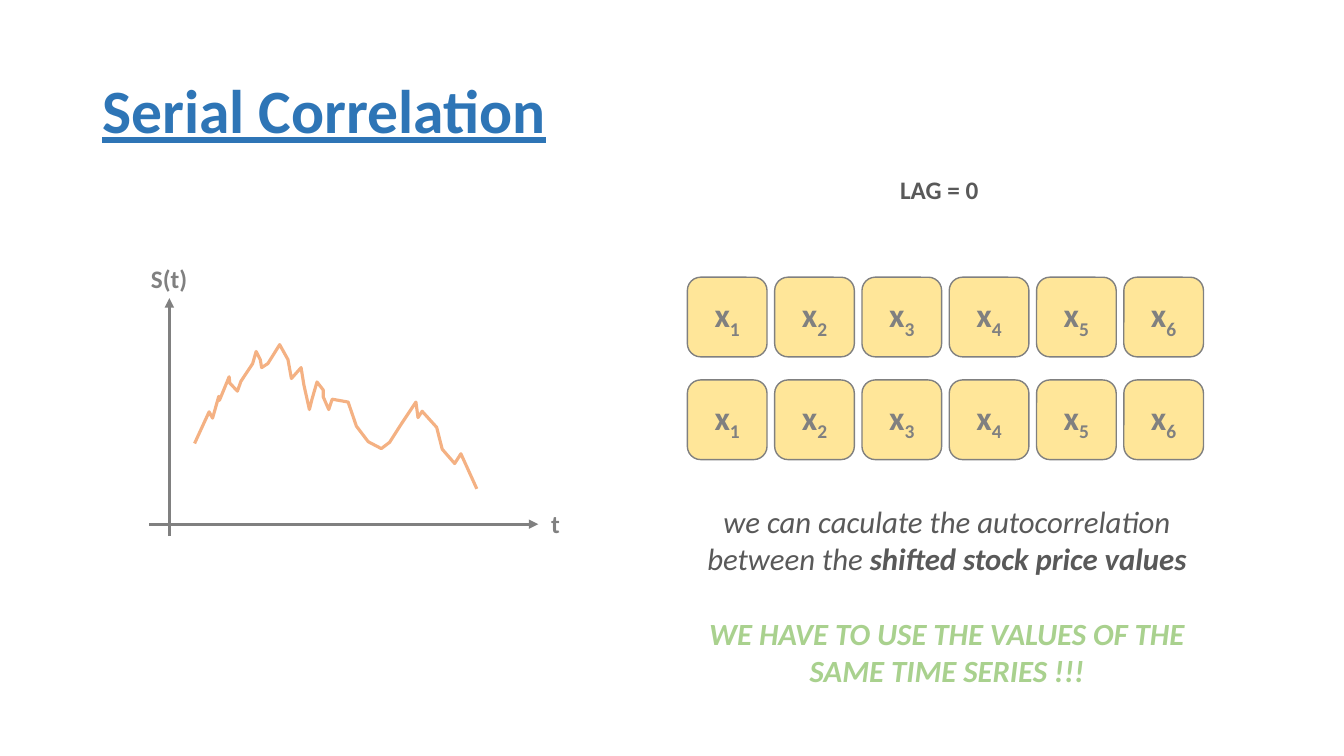
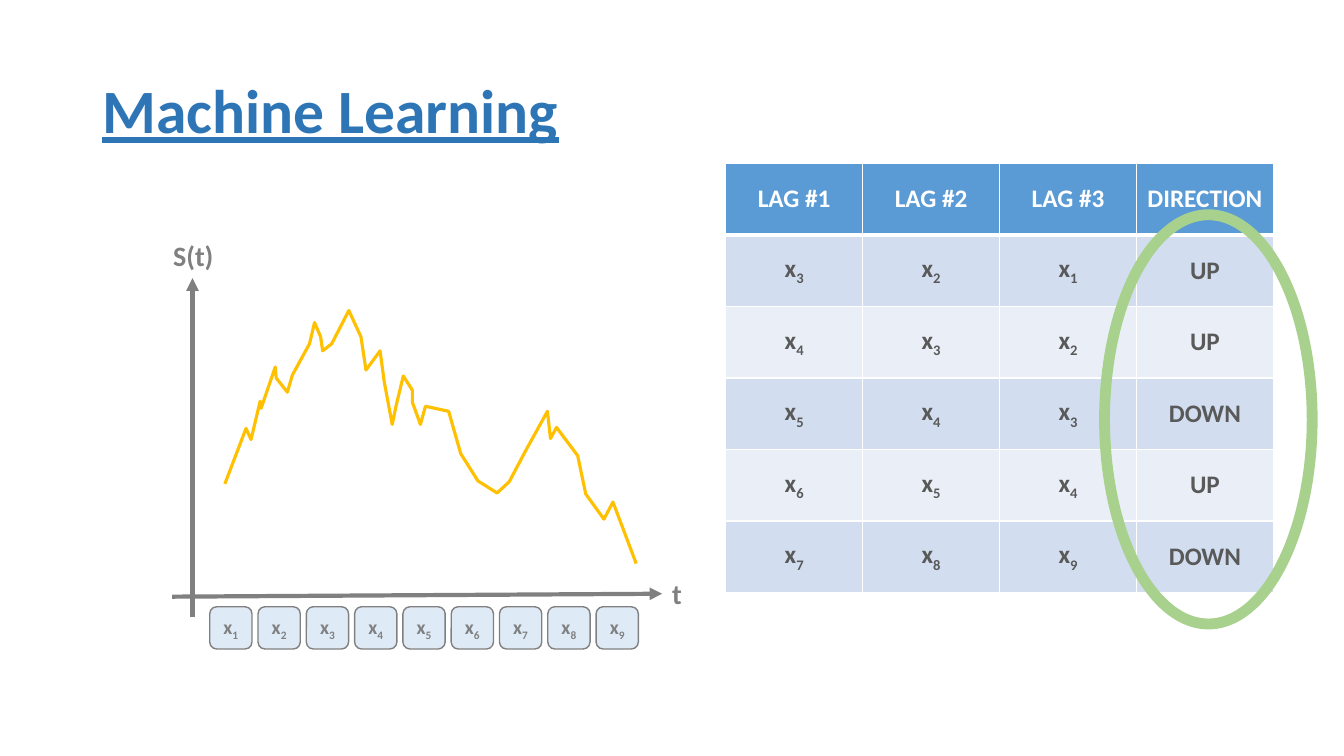
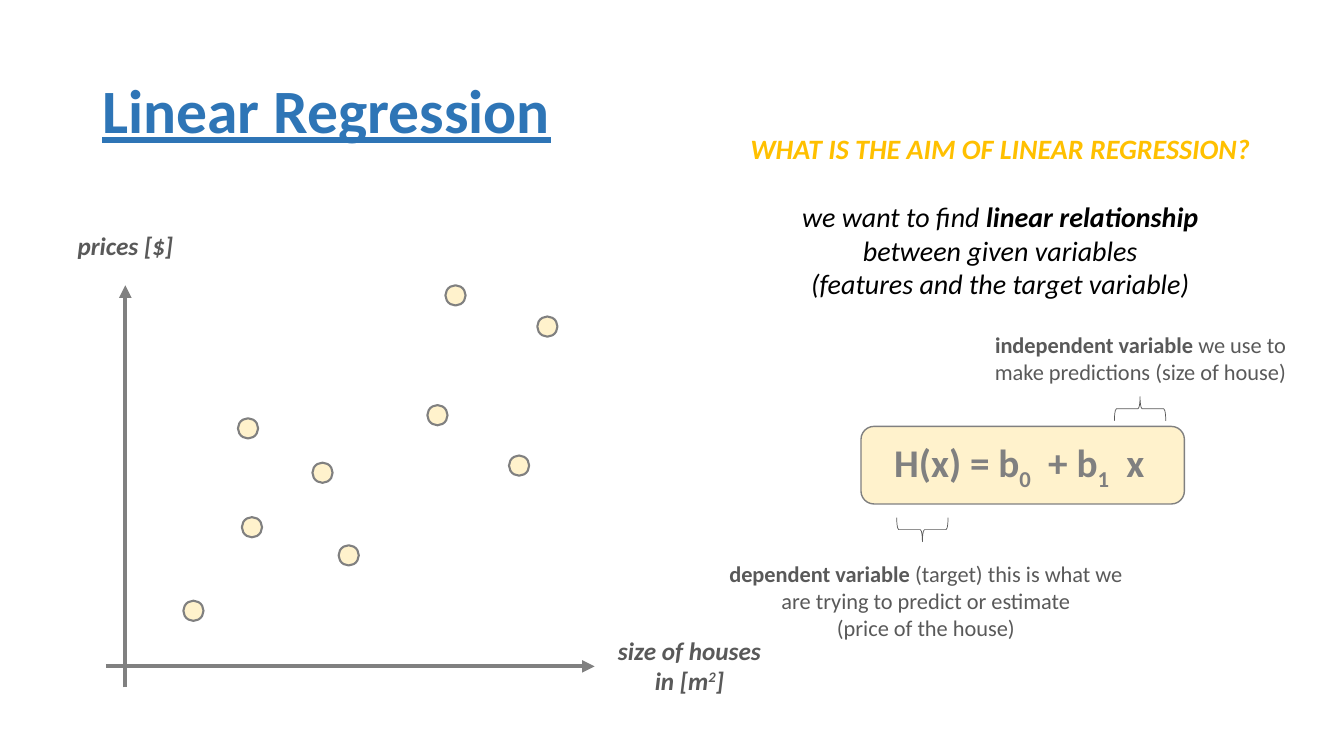
from lxml.etree import SubElement
from pptx import Presentation
from pptx.dml.color import RGBColor
from pptx.enum.shapes import MSO_CONNECTOR, MSO_SHAPE
from pptx.enum.text import MSO_ANCHOR, PP_ALIGN
from pptx.oxml.ns import qn
from pptx.util import Pt

# ---- Shared style ----
FONT = "Calibri"
BLUE, GREY, DARK, BLACK, WHITE = "2E75B6", "808080", "595959", "000000", "FFFFFF"
GREEN, GOLD, CREAM = "A9D18E", "FFC000", "FFF2CC"
TITLE_BOX = (66, 29, 828, 104.4)

# ---- Content: a run is (text, flags); b bold, i italic, _ subscript, ^ superscript, + gap after ----
# Price curve on a 408 x 251 grid
PRICE_GRID = (408, 251)
PRICES = [
    (0, 172), (21, 117), (26, 128), (35, 90), (36, 97), (50, 56), (51, 67), (62, 81),
    (67, 64), (84, 33), (89, 12), (95, 26), (97, 40), (106, 33), (123, 0), (135, 26),
    (140, 59), (154, 40), (158, 70), (166, 113), (170, 94), (177, 65), (186, 79),
    (186, 91), (194, 113), (199, 95), (222, 100), (234, 142), (251, 169), (270, 181),
    (282, 170), (299, 138), (320, 100), (323, 127), (329, 116), (350, 144), (358, 182),
    (376, 207), (385, 190), (408, 251),
]

# A paragraph is a list of runs, or a dict with its own colour and space before
AUTOCORRELATION = [
    [("we can caculate the autocorrelation", "i")],
    [("between the ", "i"), ("shifted stock price values", "bi")],
    {"runs": [("WE HAVE TO USE THE VALUES OF THE", "bi")], "color": GREEN, "before": 26.8},
    {"runs": [("SAME TIME SERIES !!!", "bi")], "color": GREEN},
]

LAG_HEADER = ["LAG #1", "LAG #2", "LAG #3", "DIRECTION"]
LAG_ROWS = [
    (3, 2, 1, "UP"),
    (4, 3, 2, "UP"),
    (5, 4, 3, "DOWN"),
    (6, 5, 4, "UP"),
    (7, 8, 9, "DOWN"),
]

HOUSES = [(170, 298.8), (305.3, 289.4), (131, 429.1), (241.9, 389.5), (223.2, 330.5),
          (363.6, 325.4), (318.2, 203.8), (383.8, 226.1), (172.8, 369.4)]
AIM = [
    {"runs": [("WHAT IS THE AIM OF LINEAR REGRESSION?", "bi")], "color": GOLD},
    {"runs": [("we want to find ", "i"), ("linear relationship", "bi")], "before": 24.4},
    [("between given variables", "i")],
    [("(features and the target variable)", "i")],
]
HYPOTHESIS = [[("H(x) = b", "b"), ("0", "b_+"), (" + b", "b"), ("1", "b_+"), (" x", "b")]]
DEPENDENT = [
    [("dependent variable ", "b"), ("(target) this is what we", "")],
    [("are trying to predict or estimate", "")],
    [("(price of the house)", "")],
]
INDEPENDENT = [
    [("independent variable ", "b"), ("we use to", "")],
    [("make predictions (size of house)", "")],
]
SIZE_LABEL = [[("size of houses", "bi")], [("in [m", "bi"), ("2", "bi^"), ("]", "bi")]]


# ---- Helpers ----
def rgb(color):
    return RGBColor.from_string(color)


def box(*lengths):
    return [Pt(length) for length in lengths]


def x_sub(number):
    return [[("x", "b"), (str(number), "b_")]]


def write(frame, paragraphs, size, color, align=PP_ALIGN.CENTER):
    for index, entry in enumerate(paragraphs):
        if isinstance(entry, list):
            entry = {"runs": entry}
        paragraph = frame.add_paragraph() if index else frame.paragraphs[0]
        paragraph.alignment = align
        if "before" in entry:
            paragraph.space_before = Pt(entry["before"])
        for text, flags in entry["runs"]:
            run = paragraph.add_run()
            run.text = text
            run.font.name = FONT
            run.font.size = Pt(size)
            run.font.bold = "b" in flags
            run.font.italic = "i" in flags
            run.font.color.rgb = rgb(entry.get("color", color))
            properties = run.font._element
            if "_" in flags:
                properties.set("baseline", "-25000")
            if "^" in flags:
                properties.set("baseline", "30000")
            if "+" in flags:
                properties.set("spc", "600")


def add_text(slide, place, paragraphs, size, color, align=PP_ALIGN.CENTER):
    frame = slide.shapes.add_textbox(*box(*place)).text_frame
    frame.word_wrap = False
    write(frame, paragraphs, size, color, align)
    return frame


def add_label(slide, place, text, size, color):
    add_text(slide, place, [[(text, "b")]], size, color, PP_ALIGN.LEFT)


def paint(shape, fill, line, width):
    shape.shadow.inherit = False
    if fill:
        shape.fill.solid()
        shape.fill.fore_color.rgb = rgb(fill)
    else:
        shape.fill.background()
    shape.line.color.rgb = rgb(line)
    shape.line.width = Pt(width)


def add_shape(slide, kind, place, fill, line, width):
    shape = slide.shapes.add_shape(kind, *box(*place))
    paint(shape, fill, line, width)
    return shape


def add_tiles(slide, count, left, top, side, pitch, fill, size):
    for number in range(1, count + 1):
        place = (left + (number - 1) * pitch, top, side, side)
        tile = add_shape(slide, MSO_SHAPE.ROUNDED_RECTANGLE, place, fill, GREY, 1)
        tile.text_frame.word_wrap = False
        tile.text_frame.vertical_anchor = MSO_ANCHOR.MIDDLE
        write(tile.text_frame, x_sub(number), size, GREY)


def add_axes(slide, vertical, horizontal, width):
    for ends in (vertical, horizontal):
        axis = slide.shapes.add_connector(MSO_CONNECTOR.STRAIGHT, *box(*ends))
        axis.line.color.rgb = rgb(GREY)
        axis.line.width = Pt(width)
        SubElement(axis.line._get_or_add_ln(), qn("a:tailEnd"), type="triangle")
        SubElement(axis._element.spPr, qn("a:effectLst"))


def add_prices(slide, left, top, width, height, color):
    points = [(Pt(left + x * width / PRICE_GRID[0]), Pt(top + y * height / PRICE_GRID[1]))
              for x, y in PRICES]
    builder = slide.shapes.build_freeform(*points[0])
    builder.add_line_segments(points[1:], close=False)
    paint(builder.convert_to_shape(), None, color, 2.25)


def add_brace(slide, left, top, rotation):
    brace = add_shape(slide, MSO_SHAPE.RIGHT_BRACE, (left, top, 17.3, 36.7), None, DARK, 0.5)
    brace.rotation = rotation


def style_cell(cell, paragraphs, fill, color, bottom):
    properties = cell._tc.get_or_add_tcPr()
    for side, width in (("L", 1), ("R", 1), ("T", 1), ("B", bottom)):
        edge = SubElement(properties, qn("a:ln" + side), w=str(Pt(width)))
        SubElement(SubElement(edge, qn("a:solidFill")), qn("a:srgbClr"), val=WHITE)
    cell.fill.solid()
    cell.fill.fore_color.rgb = rgb(fill)
    cell.vertical_anchor = MSO_ANCHOR.MIDDLE
    write(cell.text_frame, paragraphs, 18, color)


def add_lag_table(slide, left, top, column_width, row_height):
    rows, columns = len(LAG_ROWS) + 1, len(LAG_HEADER)
    place = box(left, top, columns * column_width, rows * row_height)
    table = slide.shapes.add_table(rows, columns, *place).table
    for column in table.columns:
        column.width = Pt(column_width)
    for row in table.rows:
        row.height = Pt(row_height)
    for c, heading in enumerate(LAG_HEADER):
        style_cell(table.cell(0, c), [[(heading, "b")]], "5B9BD5", WHITE, 3)
    for r, values in enumerate(LAG_ROWS, start=1):
        fill = "D2DEEF" if r % 2 else "EAEFF7"
        for c, value in enumerate(values):
            content = [[(value, "b")]] if isinstance(value, str) else x_sub(value)
            style_cell(table.cell(r, c), content, fill, DARK, 1)


def new_slide(deck, title):
    slide = deck.slides.add_slide(deck.slide_layouts[6])
    frame = add_text(slide, TITLE_BOX, [[(title, "b")]], 44, BLUE, PP_ALIGN.LEFT)
    frame.word_wrap = True
    frame.vertical_anchor = MSO_ANCHOR.MIDDLE
    frame.paragraphs[0].line_spacing = 0.9
    frame.paragraphs[0].runs[0].font.underline = True
    return slide


# ---- Slides ----
def serial_correlation(deck):
    slide = new_slide(deck, "Serial Correlation")
    add_axes(slide, (121, 383, 121, 213), (106.6, 374.4, 384.5, 374.4), 2.25)
    add_label(slide, (100.8, 184.3, 41, 28.8), "S(t)", 18, GREY)
    add_label(slide, (386.6, 359.3, 21, 28.8), "t", 18, GREY)
    add_prices(slide, 139, 246.2, 201.6, 103, "F4B183")
    for top in (198, 271.4):
        add_tiles(slide, 6, 491, top, 56.9, 62.35, "FFE699", 24)
    add_text(slide, (496, 355.7, 360.7, 140.4), AUTOCORRELATION, 22, DARK)
    add_label(slide, (635.8, 121, 70.6, 28.8), "LAG = 0", 18, DARK)


def machine_learning(deck):
    slide = new_slide(deck, "Machine Learning")
    add_axes(slide, (137.5, 440.6, 137.5, 198.7), (123, 426.2, 473, 424.1), 3)
    add_label(slide, (116.6, 167, 44, 31.7), "S(t)", 20, GREY)
    add_label(slide, (473, 408.2, 21.6, 31.7), "t", 20, GREY)
    add_prices(slide, 160.6, 221.8, 293.8, 180.7, GOLD)
    add_tiles(slide, 9, 149.8, 433.4, 30.2, 34.5, "DEEBF7", 14)
    add_lag_table(slide, 518.4, 116.8, 97.8, 51.1)
    add_shape(slide, MSO_SHAPE.OVAL, (789, 153.4, 148.3, 292.3), None, GREEN, 7.75)


def linear_regression(deck):
    slide = new_slide(deck, "Linear Regression")
    # Scatter of house prices
    add_axes(slide, (89.5, 491, 89.5, 203.8), (75.6, 476, 424.8, 476), 3)
    for left, top in HOUSES:
        add_shape(slide, MSO_SHAPE.OVAL, (left, top, 14.4, 14.4), CREAM, GREY, 1.5)
    add_text(slide, (431.3, 450, 122.4, 51), SIZE_LABEL, 18, DARK)
    add_text(slide, (47.5, 161.3, 84.2, 28.8), [[("prices [$]", "bi")]], 18, DARK)
    # Aim and hypothesis
    add_text(slide, (527, 90.7, 375, 130), AIM, 20, BLACK)
    formula = add_shape(slide, MSO_SHAPE.ROUNDED_RECTANGLE, (615, 304.6, 231, 55.4),
                        CREAM, GREY, 1)
    frame = formula.text_frame
    frame.margin_left, frame.margin_right = Pt(21), 0
    frame.vertical_anchor = MSO_ANCHOR.MIDDLE
    write(frame, HYPOTHESIS, 28, GREY, PP_ALIGN.LEFT)
    # Explained variables
    add_text(slide, (512, 396.7, 298.8, 65.5), DEPENDENT, 16, DARK)
    add_text(slide, (699.8, 233.3, 229.7, 46), INDEPENDENT, 16, DARK)
    add_brace(slide, 805.7, 273.6, 270)
    add_brace(slide, 650.2, 360, 90)


def main():
    deck = Presentation()
    deck.slide_width, deck.slide_height = Pt(960), Pt(540)
    serial_correlation(deck)
    machine_learning(deck)
    linear_regression(deck)
    deck.save("out.pptx")


if __name__ == "__main__":
    main()
